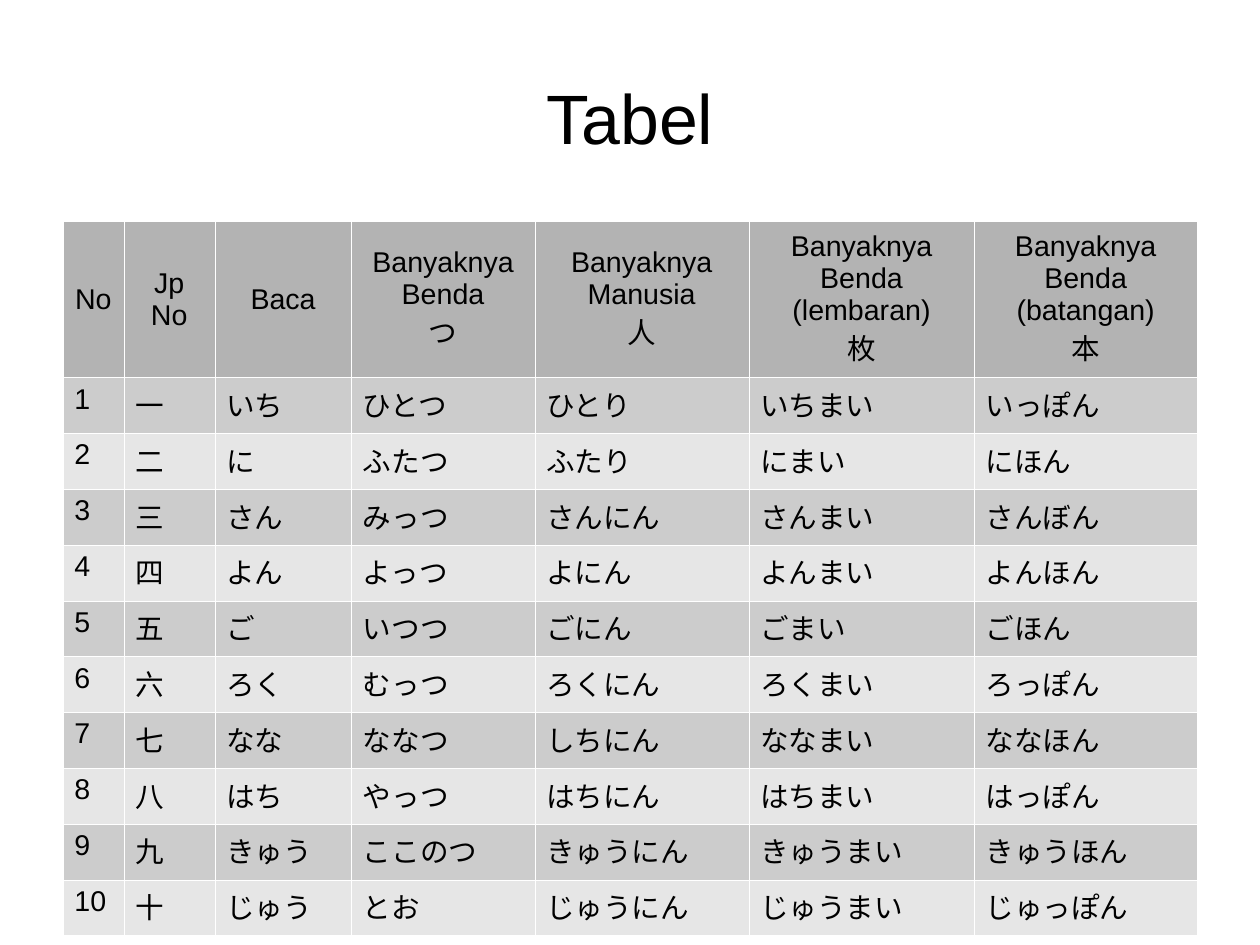
import lxml.etree
import pptx
import pptx.dml.color
import pptx.enum.text
import pptx.oxml.ns
import pptx.util

TITLE = "Tabel"
HEAD = [
    ["No"],
    ["Jp No"],
    ["Baca"],
    ["Banyaknya Benda", "つ"],
    ["Banyaknya Manusia", "人"],
    ["Banyaknya Benda (lembaran)", "枚"],
    ["Banyaknya Benda (batangan)", "本"],
]
ROWS = [
    ("1", "一", "いち", "ひとつ", "ひとり", "いちまい", "いっぽん"),
    ("2", "二", "に", "ふたつ", "ふたり", "にまい", "にほん"),
    ("3", "三", "さん", "みっつ", "さんにん", "さんまい", "さんぼん"),
    ("4", "四", "よん", "よっつ", "よにん", "よんまい", "よんほん"),
    ("5", "五", "ご", "いつつ", "ごにん", "ごまい", "ごほん"),
    ("6", "六", "ろく", "むっつ", "ろくにん", "ろくまい", "ろっぽん"),
    ("7", "七", "なな", "ななつ", "しちにん", "ななまい", "ななほん"),
    ("8", "八", "はち", "やっつ", "はちにん", "はちまい", "はっぽん"),
    ("9", "九", "きゅう", "ここのつ", "きゅうにん", "きゅうまい", "きゅうほん"),
    ("10", "十", "じゅう", "とお", "じゅうにん", "じゅうまい", "じゅっぽん"),
]
COLORS = {"head": "B3B3B3", "odd": "CCCCCC", "even": "E6E6E6",
          "line": "FFFFFF", "text": "000000"}
WIDTHS = [1.35, 2.02, 3.04, 4.07, 4.76, 5.01, 4.95]
HEAD_H, ROW_H = 3.47, 1.24
LEFT, TOP = 1.4, 4.92

Cm = pptx.util.Cm
Pt = pptx.util.Pt
ALIGN = pptx.enum.text.PP_ALIGN
MIDDLE = pptx.enum.text.MSO_ANCHOR.MIDDLE
qn = pptx.oxml.ns.qn


def color(key):
    return pptx.dml.color.RGBColor.from_string(COLORS[key])


def write(frame, lines, size, align):
    for i, line in enumerate(lines):
        para = frame.paragraphs[0] if i == 0 else frame.add_paragraph()
        para.alignment = align
        run = para.add_run()
        run.text = line
        run.font.name = "Arial"
        run.font.size = Pt(size)
        run.font.bold = False
        run.font.color.rgb = color("text")


def border(cell):
    props = cell._tc.get_or_add_tcPr()
    for side in ("a:lnL", "a:lnR", "a:lnT", "a:lnB"):
        line = lxml.etree.SubElement(props, qn(side), w=str(Pt(0.06)))
        fill = lxml.etree.SubElement(line, qn("a:solidFill"))
        lxml.etree.SubElement(fill, qn("a:srgbClr"), val=COLORS["line"])


def add_title(slide):
    title = slide.shapes.title
    title.left, title.top = Cm(LEFT), Cm(0.84)
    title.width, title.height = Cm(sum(WIDTHS)), Cm(3.5)
    frame = title.text_frame
    frame.margin_left = frame.margin_right = 0
    frame.margin_top = frame.margin_bottom = 0
    frame.vertical_anchor = MIDDLE
    frame.word_wrap = True
    write(frame, [TITLE], 44, ALIGN.CENTER)


def add_grid(slide):
    cells = [HEAD] + [[[word] for word in row] for row in ROWS]
    heights = [HEAD_H] + [ROW_H] * len(ROWS)
    table = slide.shapes.add_table(
        len(cells), len(WIDTHS), Cm(LEFT), Cm(TOP),
        Cm(sum(WIDTHS)), Cm(sum(heights))).table
    for col, width in zip(table.columns, WIDTHS):
        col.width = Cm(width)
    for r, (row, height) in enumerate(zip(cells, heights)):
        table.rows[r].height = Cm(height)
        shade = "head" if r == 0 else "odd" if r % 2 else "even"
        for c, lines in enumerate(row):
            cell = table.cell(r, c)
            border(cell)
            cell.fill.solid()
            cell.fill.fore_color.rgb = color(shade)
            if r == 0:
                cell.vertical_anchor = MIDDLE
            write(cell.text_frame, lines, 18,
                  ALIGN.LEFT if r else ALIGN.CENTER)


def main():
    deck = pptx.Presentation()
    deck.slide_width, deck.slide_height = Cm(28), Cm(21)
    slide = deck.slides.add_slide(deck.slide_layouts[5])
    add_title(slide)
    add_grid(slide)
    deck.save("out.pptx")


if __name__ == "__main__":
    main()
